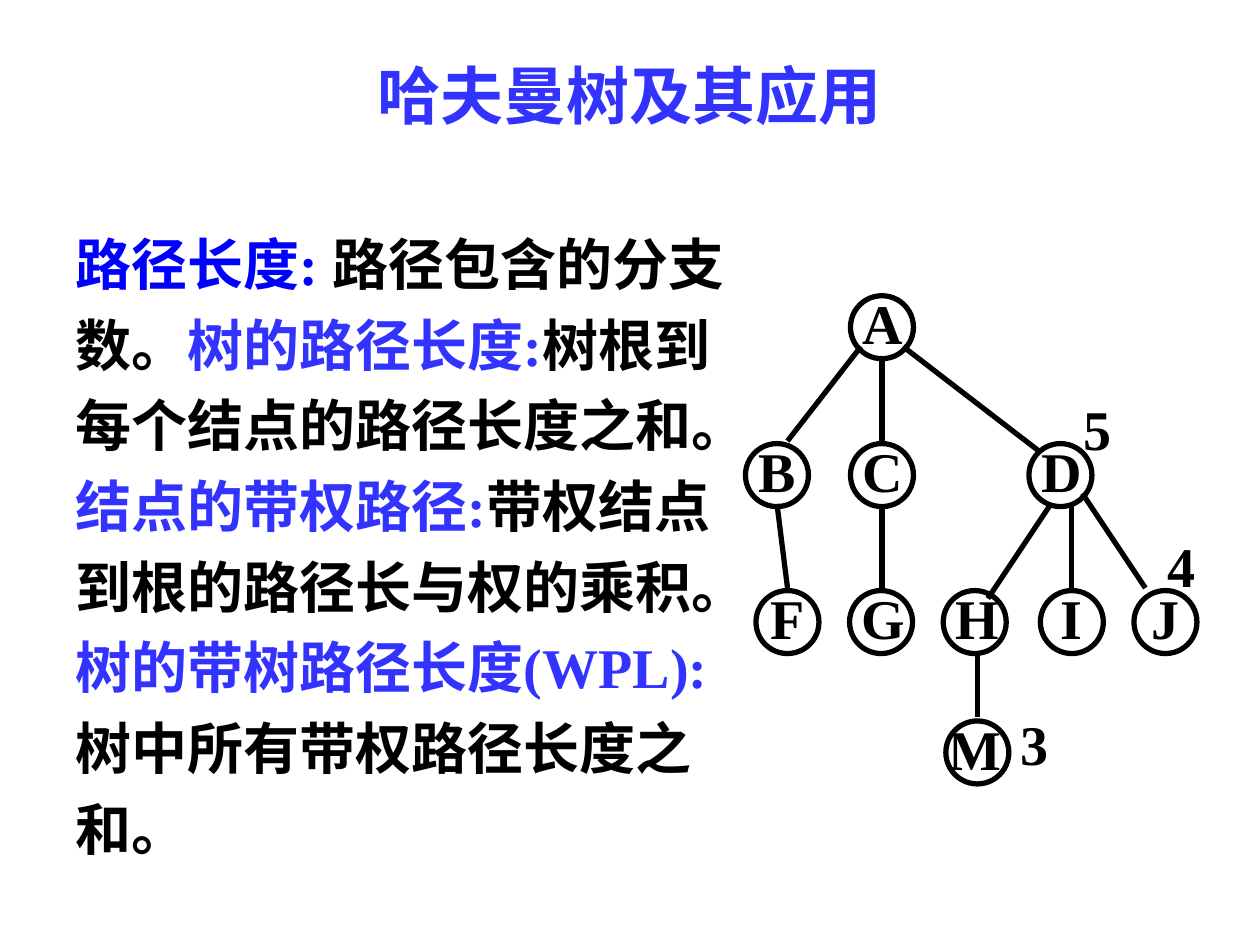
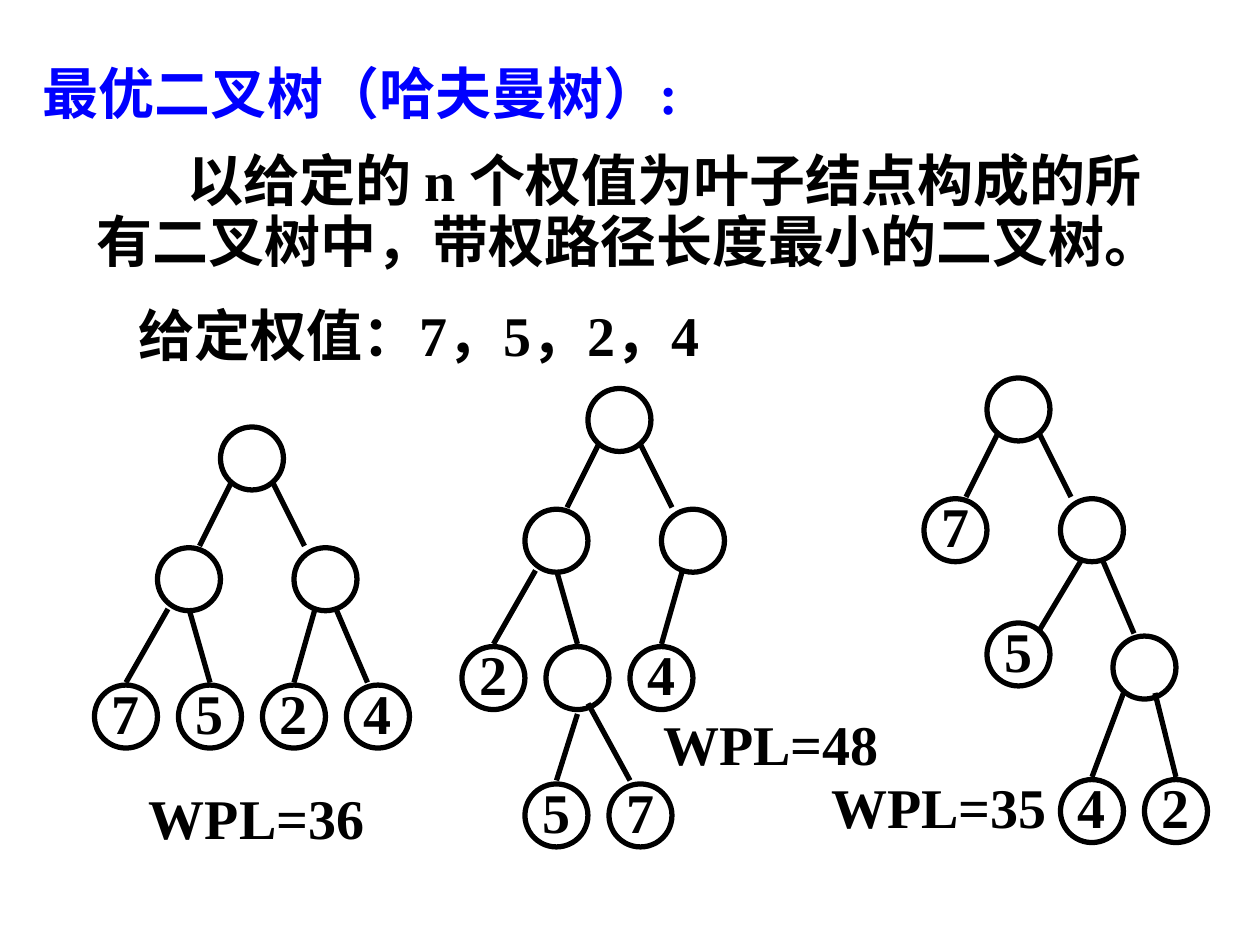
from lxml.etree import SubElement
from pptx import Presentation
from pptx.dml.color import RGBColor
from pptx.enum.shapes import MSO_CONNECTOR as Connector, MSO_SHAPE as Preset
from pptx.enum.text import MSO_ANCHOR as Anchor, MSO_AUTO_SIZE as AutoSize, PP_ALIGN as Align
from pptx.oxml.ns import qn
from pptx.util import Pt

BLACK = RGBColor(0x00, 0x00, 0x00)
WHITE = RGBColor(0xFF, 0xFF, 0xFF)
BLUE = RGBColor(0x00, 0x00, 0xFF)
VIOLET = RGBColor(0x33, 0x33, 0xFF)

FONT = {"name": "Times New Roman", "size": Pt(32), "bold": True}
DIAMETER = 36
LABEL_HEIGHT = 46
LABEL_RISE = 7.5

DEFINITIONS = [
    ("路径长度: ", BLUE), ("路径包含的分支数。", BLACK),
    ("树的路径长度:", VIOLET), ("树根到每个结点的路径长度之和。", BLACK),
    ("结点的带权路径:", VIOLET), ("带权结点到根的路径长与权的乘积。", BLACK),
    ("树的带树路径长度(WPL):", VIOLET), ("树中所有带权路径长度之和。", BLACK),
]

LEVEL_TOPS = [169, 253.5, 337.5, 412]
LEVEL_NODES = [
    [("A", 486)],
    [("B", 426), ("C", 486), ("D", 588)],
    [("F", 432), ("G", 485.5), ("H", 539), ("I", 594.5), ("J", 648)],
    [("M", 540.5)],
]
LABEL_SHIFTS = {"M": -5.5}
BRANCHES = [
    (492, 198, 450, 252), (504, 204, 504, 252), (516, 198, 594, 258),
    (444, 288, 450, 336), (504, 288, 504, 336), (600.5, 288, 564.5, 342),
    (612.5, 288, 612.5, 336), (618.5, 282, 654.5, 336),
    (558.5, 373.5, 558.5, 409.5),
]
WEIGHTS = [("5", 612, 222), ("3", 576, 402), ("4", 660, 300)]

ROOT_FORK = [(6, 32, -12, 68), (30, 32, 48, 68)]
LEFT_FORK = [(-30, 104, -54, 146), (-18, 104, -6, 146)]
RIGHT_FORK = [(54, 104, 42, 146), (66, 104, 84, 146)]
LEFT_CHILD, RIGHT_CHILD = (-36, 69), (42, 69)
LEAF_TOP = 147.5

BINARY_TREES = [
    {
        "root": (126, 244),
        "nodes": [("", *LEFT_CHILD), ("", *RIGHT_CHILD)]
        + [(weight, -72 + 48 * index, LEAF_TOP) for index, weight in enumerate("7524")],
        "branches": ROOT_FORK + LEFT_FORK + RIGHT_FORK,
        "total": ("WPL=36", 78, 444),
    },
    {
        "root": (336, 222),
        "nodes": [("", *LEFT_CHILD), ("", *RIGHT_CHILD), ("2", -72, LEAF_TOP),
                  ("", -24, LEAF_TOP), ("4", 24, LEAF_TOP), ("5", -36, 226), ("7", 12, 226)],
        "branches": ROOT_FORK + LEFT_FORK + RIGHT_FORK[:1]
        + [(-6, 186, -18, 224), (0, 180, 24, 224)],
        "total": ("WPL=48", 372, 402),
    },
    {
        "root": (564, 216),
        "nodes": [("7", *LEFT_CHILD), ("", *RIGHT_CHILD), ("5", 0, 140),
                  ("", 72, LEAF_TOP), ("4", 42, 229.5), ("2", 90, 229.5)],
        "branches": ROOT_FORK + RIGHT_FORK[1:]
        + [(54, 104, 30, 144), (78, 180, 60, 228), (96, 180, 108, 228)],
        "total": ("WPL=35", 468, 438),
    },
]


def apply(target, values):
    for name, value in values.items():
        setattr(target, name, value)


class Deck:
    def __init__(self):
        self.presentation = Presentation()
        apply(self.presentation, {"slide_width": Pt(720), "slide_height": Pt(540)})
        self.slide = None

    def add_slide(self):
        self.slide = self.presentation.slides.add_slide(self.presentation.slide_layouts[6])
        background = self.slide.background.fill
        background.solid()
        background.fore_color.rgb = WHITE

    def text(self, runs, left, top, width, height=LABEL_HEIGHT, frame=None,
             layout=None, font=None, indent=0):
        shape = self.slide.shapes.add_textbox(Pt(left), Pt(top), Pt(width), Pt(height))
        text_frame = shape.text_frame
        apply(text_frame, {"word_wrap": True, "auto_size": AutoSize.SHAPE_TO_FIT_TEXT,
                           **(frame or {})})
        paragraph = text_frame.paragraphs[0]
        apply(paragraph, layout or {})
        if indent:
            paragraph._p.get_or_add_pPr().set("indent", str(Pt(indent)))
        for words, color in runs:
            run = paragraph.add_run()
            run.text = words
            apply(run.font, {**FONT, **(font or {})})
            run.font.color.rgb = color

    def label(self, words, left, top, width):
        self.text([(words, BLACK)], left, top, width, frame={"word_wrap": False},
                  layout={"alignment": Align.CENTER})

    def node(self, name, left, top):
        if name:
            self.text([(name, BLACK)], left + LABEL_SHIFTS.get(name, 0), top - LABEL_RISE,
                      DIAMETER, layout={"alignment": Align.CENTER})
        circle = self.slide.shapes.add_shape(
            Preset.OVAL, Pt(left), Pt(top), Pt(DIAMETER), Pt(DIAMETER))
        circle.shadow.inherit = False
        circle.fill.background()
        self.outline(circle.line)

    def branch(self, *ends):
        connector = self.slide.shapes.add_connector(Connector.STRAIGHT, *map(Pt, ends))
        self.outline(connector.line)
        SubElement(connector._element.spPr, qn("a:effectLst"))

    def outline(self, line):
        line.color.rgb = BLACK
        line.width = Pt(3)

    def binary_tree(self, root, nodes, branches, total):
        left, top = root
        for name, across, down in [("", 0, 0)] + nodes:
            self.node(name, left + across, top + down)
        for x1, y1, x2, y2 in branches:
            self.branch(left + x1, top + y1, left + x2, top + y2)
        self.label(*total, 137.5)


def path_length_slide(deck):
    deck.add_slide()
    deck.text([("哈夫曼树及其应用", VIOLET)], 90, 30, 540, 48,
              frame={"auto_size": AutoSize.NONE, "vertical_anchor": Anchor.MIDDLE},
              layout={"alignment": Align.CENTER}, font={"size": Pt(36)})
    deck.text(DEFINITIONS, 36, 120, 390, 376, layout={"line_spacing": 1.2})
    for top, nodes in zip(LEVEL_TOPS, LEVEL_NODES):
        for name, left in nodes:
            deck.node(name, left, top)
    for ends in BRANCHES:
        deck.branch(*ends)
    for weight, left, top in WEIGHTS:
        deck.label(weight, left, top, 30)


def optimal_tree_slide(deck):
    deck.add_slide()
    deck.text([("最优二叉树（哈夫曼树）:", BLUE)], 17.5, 30, 385, frame={"word_wrap": False})
    deck.text([("以给定的 n 个权值为叶子结点构成的所有二叉树中，带权路径长度最小的二叉树。", BLACK)],
              48, 84, 642, 76, layout={"line_spacing": 0.9}, indent=52)
    deck.label("给定权值：7，5，2，4", 45.5, 168, 388)
    for tree in BINARY_TREES:
        deck.binary_tree(**tree)


def main():
    deck = Deck()
    path_length_slide(deck)
    optimal_tree_slide(deck)
    deck.presentation.save("out.pptx")


if __name__ == "__main__":
    main()
